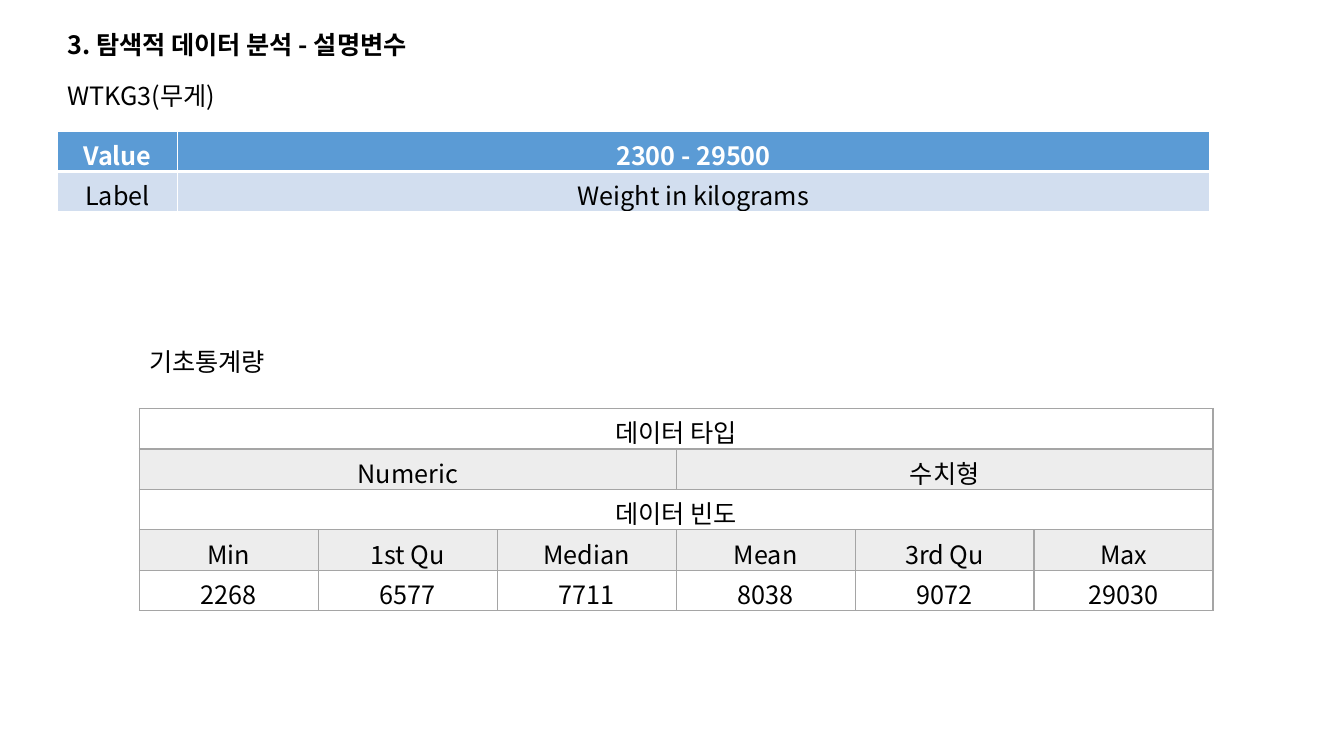
from dataclasses import dataclass

from lxml.etree import SubElement
from pptx import Presentation
from pptx.dml.color import RGBColor
from pptx.enum.text import MSO_ANCHOR as Anchor, PP_ALIGN as Align
from pptx.oxml.ns import qn
from pptx.util import Cm, Pt


@dataclass(frozen=True)
class Theme:
    """Colours, font and type size of the slide."""
    font: str = "Noto Sans CJK KR"
    size: int = 18
    ink: str = "000000"
    paper: str = "FFFFFF"
    header: str = "5B9BD5"
    band: str = "D2DEEF"
    grid: str = "A5A5A5"
    shade: str = "EDEDED"


THEME = Theme()
ROW_HEIGHT = 1.02


def style_paragraph(para, color=THEME.ink, bold=False):
    """Set the type of a whole paragraph."""
    font = para.font
    font.size = Pt(THEME.size)
    font.bold = bold
    font.color.rgb = RGBColor.from_string(color)
    font.name = THEME.font
    SubElement(font._element, qn("a:ea"), typeface=THEME.font)


def add_label(page, text, left, top, width, bold=False, wrap=True):
    """Add a one-line text box."""
    box = page.shapes.add_textbox(Cm(left), Cm(top), Cm(width), Cm(ROW_HEIGHT))
    box.text_frame.word_wrap = wrap
    para = box.text_frame.paragraphs[0]
    para.text = text
    style_paragraph(para, bold=bold)


def set_borders(cell, color, top=1, bottom=1):
    """Draw the four edges of a cell."""
    properties = cell._tc.get_or_add_tcPr()
    for edge, width in (("L", 1), ("R", 1), ("T", top), ("B", bottom)):
        line = SubElement(properties, qn(f"a:ln{edge}"), w=str(Pt(width)))
        fill = SubElement(line, qn("a:solidFill"))
        SubElement(fill, qn("a:srgbClr"), val=color)


def fill_cell(cell, text, fill, color=THEME.ink, bold=False, anchor=Anchor.TOP):
    """Write centred text on a cell background."""
    if fill:
        cell.fill.solid()
        cell.fill.fore_color.rgb = RGBColor.from_string(fill)
    else:
        cell.fill.background()
    cell.vertical_anchor = anchor
    para = cell.text_frame.paragraphs[0]
    para.text = text
    para.alignment = Align.CENTER
    style_paragraph(para, color, bold)


def add_grid(page, left, top, widths, row_count):
    """Add a plain table with even rows."""
    table = page.shapes.add_table(
        row_count, len(widths), Cm(left), Cm(top),
        Cm(sum(widths)), Cm(ROW_HEIGHT * row_count)).table
    table.first_row = table.horz_banding = False
    for column, width in zip(table.columns, widths):
        column.width = Cm(width)
    for row in table.rows:
        row.height = Cm(ROW_HEIGHT)
    return table


def add_variable_table(page, left, top):
    """Add the value range and label of the variable."""
    rows = (
        (("Value", "2300 - 29500"), THEME.header, THEME.paper, True),
        (("Label", "Weight in kilograms"), THEME.band, THEME.ink, False),
    )
    table = add_grid(page, left, top, (3.02, 26.01), len(rows))
    for index, (texts, fill, color, bold) in enumerate(rows):
        for cell, text in zip(table.rows[index].cells, texts):
            set_borders(cell, THEME.paper, 1 if bold else 3, 3 if bold else 1)
            fill_cell(cell, text, fill, color, bold, Anchor.MIDDLE)


def add_statistics_table(page, left, top):
    """Add the data type and summary statistics."""
    rows = (
        ("데이터 타입",),
        ("Numeric", "수치형"),
        ("데이터 빈도",),
        ("Min", "1st Qu", "Median", "Mean", "3rd Qu", "Max"),
        ("2268", "6577", "7711", "8038", "9072", "29030"),
    )
    column_count = len(rows[-1])
    table = add_grid(page, left, top, (4.51,) * column_count, len(rows))
    for index, texts in enumerate(rows):
        for cell in table.rows[index].cells:
            set_borders(cell, THEME.grid, 2 if index == 1 else 1,
                        2 if index == 0 else 1)
        span = column_count // len(texts)
        for position, text in enumerate(texts):
            start = position * span
            cell = table.cell(index, start)
            if span > 1:
                cell.merge(table.cell(index, start + span - 1))
            fill_cell(cell, text, THEME.shade if index % 2 else None)


def add_variable_section(page, left, top):
    """Place the heading, variable name and variable table."""
    add_label(page, "3. 탐색적 데이터 분석 - 설명변수", left, top, 15.21, bold=True)
    add_label(page, "WTKG3(무게)", left, top + 1.3, 30.3)
    add_variable_table(page, left, top + 2.69)


def add_statistics_section(page, left, top):
    """Place the statistics caption and table."""
    add_label(page, "기초통계량", left, top, 3.71, wrap=False)
    add_statistics_table(page, left, top + 1.68)


def main():
    """Build and save the deck."""
    deck = Presentation()
    deck.slide_width, deck.slide_height = Cm(33.87), Cm(19.05)
    page = deck.slides.add_slide(deck.slide_layouts[6])
    add_variable_section(page, 1.45, 0.61)
    add_statistics_section(page, 3.51, 8.61)
    deck.save("out.pptx")


if __name__ == "__main__":
    main()
